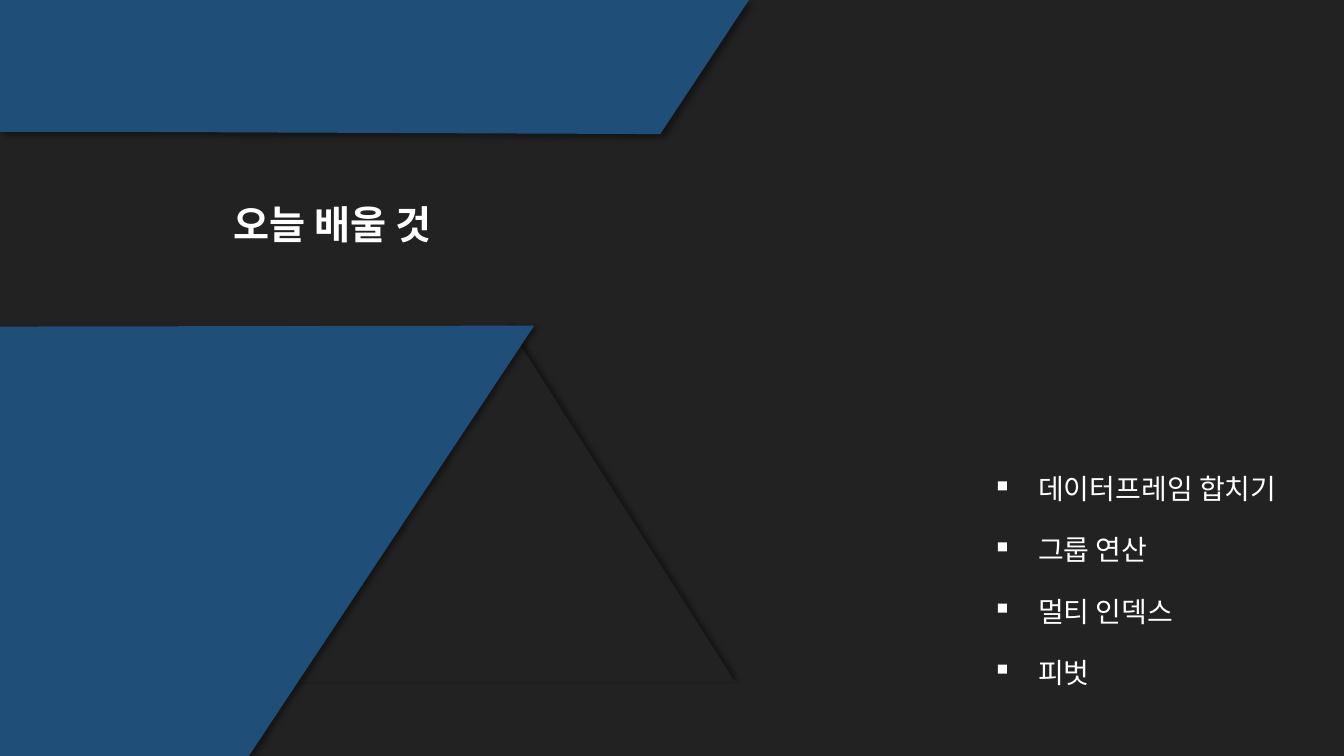
from lxml.etree import SubElement
from pptx import Presentation
from pptx.dml.color import RGBColor as RGB
from pptx.enum.shapes import MSO_SHAPE as Shape
from pptx.enum.text import MSO_ANCHOR as Anchor, MSO_AUTO_SIZE as Fit, PP_ALIGN as Align
from pptx.oxml.ns import qn
from pptx.util import Pt

DARK = RGB(0x22, 0x22, 0x22)
BLUE = RGB(0x1F, 0x4E, 0x79)
WHITE = RGB(0xFF, 0xFF, 0xFF)
FACE = "Noto Sans CJK KR"


class Deck:
    def __init__(self, wide, high):
        self.show = Presentation()
        self.show.slide_width, self.show.slide_height = Pt(wide), Pt(high)
        self.slide = self.show.slides.add_slide(self.show.slide_layouts[5])
        self.shapes = self.slide.shapes
        back = self.slide.background.fill
        back.solid()
        back.fore_color.rgb = DARK

    def paint(self, shape, color, angle=None):
        shape.fill.solid()
        shape.fill.fore_color.rgb = color
        shape.line.fill.background()
        shape.shadow.inherit = False
        if angle is not None:
            effects = shape._element.spPr.find(qn("a:effectLst"))
            shade = SubElement(effects, qn("a:outerShdw"), blurRad=str(Pt(4)),
                               dist=str(Pt(3)), dir=str(angle * 60000),
                               algn="ctr", rotWithShape="0")
            tint = SubElement(shade, qn("a:srgbClr"), val="000000")
            SubElement(tint, qn("a:alpha"), val="40000")

    def preset(self, kind, box, color, angle=None):
        shape = self.shapes.add_shape(kind, *map(Pt, box))
        self.paint(shape, color, angle)

    def outline(self, points, color, angle):
        start, *rest = [(Pt(x), Pt(y)) for x, y in points]
        pen = self.shapes.build_freeform(*start)
        pen.add_line_segments(rest)
        self.paint(pen.convert_to_shape(), color, angle)

    def letter(self, shape, text, size, align, bold=False, wrap=False):
        frame = shape.text_frame
        frame.text = text
        frame.word_wrap = wrap
        frame.auto_size = Fit.SHAPE_TO_FIT_TEXT
        frame.vertical_anchor = Anchor.TOP
        para = frame.paragraphs[0]
        para.alignment = align
        font = para.font
        font.size, font.bold = Pt(size), bold
        font.color.rgb = WHITE
        font.name = FACE
        SubElement(para._p.pPr.find(qn("a:defRPr")), qn("a:ea"), typeface=FACE)

    def title(self, text, box):
        shape = self.shapes.title
        shape.left, shape.top, shape.width, shape.height = map(Pt, box)
        self.letter(shape, text, 28, Align.CENTER, bold=True)

    def label(self, text, box, wrap):
        shape = self.shapes.add_textbox(*map(Pt, box))
        self.letter(shape, text, 20, Align.LEFT, wrap=wrap)


def main():
    deck = Deck(960, 540)
    deck.preset(Shape.ISOSCELES_TRIANGLE, (200.9, 232.6, 324, 254.2), DARK, 315)
    deck.outline([(0, 0), (535, 0), (471.6, 95.8), (111.6, 94.3), (0, 94.3)], BLUE, 45)
    deck.outline([(0, 233.3), (381.6, 232.6), (177.8, 540), (0, 540)], BLUE, 45)
    deck.title("오늘 배울 것", (149.8, 139.7, 175.7, 41))

    topics = [("데이터프레임 합치기", 203, False), ("그룹 연산", 102.2, False),
              ("멀티 인덱스", 203, True), ("피벗", 203, True)]
    for row, (topic, width, wrap) in enumerate(topics):
        top = 333.5 + 43.65 * row
        deck.label(topic, (734.4, top, width, 31.7), wrap)
        deck.preset(Shape.RECTANGLE, (712.8, top + 10.3, 6.5, 6.5), WHITE)

    deck.show.save("out.pptx")


if __name__ == "__main__":
    main()
